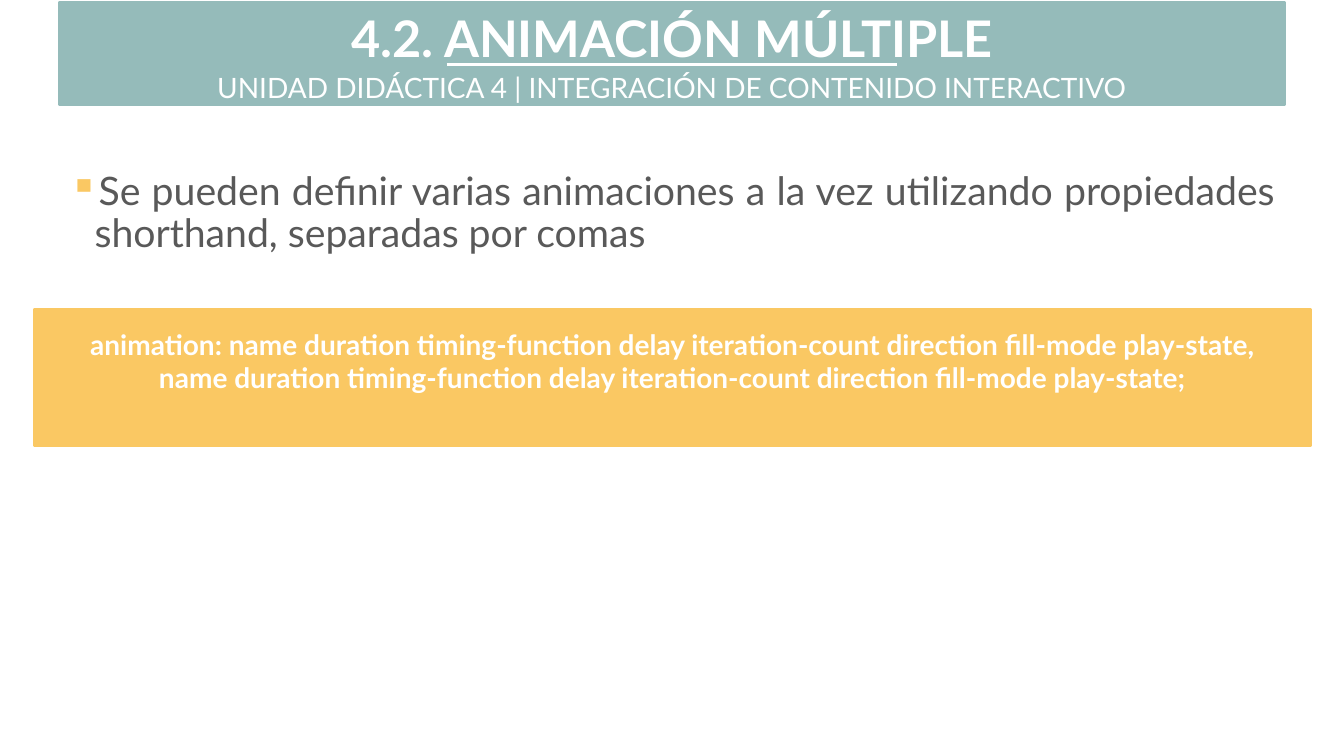
from lxml import etree
from pptx import Presentation
from pptx.dml.color import RGBColor
from pptx.enum.shapes import MSO_CONNECTOR, MSO_SHAPE
from pptx.enum.text import MSO_ANCHOR, PP_ALIGN
from pptx.oxml.ns import qn
from pptx.util import Inches, Pt

TEAL = RGBColor(0x95, 0xBB, 0xBA)
YELLOW = RGBColor(0xFA, 0xC8, 0x63)
WHITE = RGBColor(0xFF, 0xFF, 0xFF)
GREY = RGBColor(0x59, 0x59, 0x59)


def write(shape, text, size=20, color=WHITE, bold=False,
          align=PP_ALIGN.CENTER, anchor=MSO_ANCHOR.MIDDLE):
    """Fill a shape with text, one paragraph per line, and return its frame."""
    tf = shape.text_frame
    tf.word_wrap = True
    tf.vertical_anchor = anchor
    tf.text = text
    for p in tf.paragraphs:
        p.alignment = align
        font = p.runs[0].font
        font.name, font.size, font.bold = "Lato", Pt(size), bold
        font.color.rgb = color
    return tf


def add_band(left, top, width, height, color):
    sp = s.shapes.add_shape(MSO_SHAPE.RECTANGLE, Inches(left), Inches(top),
                            Inches(width), Inches(height))
    sp.shadow.inherit = False
    sp.fill.solid()
    sp.fill.fore_color.rgb = color
    sp.line.color.rgb = color
    sp.line.width = Pt(1.5)
    return sp


prs = Presentation()
prs.slide_width, prs.slide_height = Inches(13.33), Inches(7.5)
s = prs.slides.add_slide(prs.slide_layouts[6])

# Header
title = add_band(0.59, 0.02, 12.15, 1.01, TEAL)
write(title, "4.2. ANIMACIÓN MÚLTIPLE", size=36, bold=True, anchor=MSO_ANCHOR.TOP)
unit = add_band(0.59, 0.69, 12.15, 0.35, TEAL)
write(unit, "UNIDAD DIDÁCTICA 4 | INTEGRACIÓN DE CONTENIDO INTERACTIVO")

rule = s.shapes.add_connector(MSO_CONNECTOR.STRAIGHT, Inches(4.43), Inches(0.64),
                              Inches(8.9), Inches(0.64))
rule.line.color.rgb = WHITE
rule.line.width = Pt(2.25)
etree.SubElement(rule._element.spPr, qn("a:effectLst"))

# Bulleted explanation
body = s.shapes.add_textbox(Inches(0.59), Inches(1.65), Inches(12.15), Inches(5.56))
tf = write(body, "Se pueden definir varias animaciones a la vez utilizando "
           "propiedades shorthand, separadas por comas",
           size=28, color=GREY, align=PP_ALIGN.JUSTIFY, anchor=MSO_ANCHOR.TOP)
p = tf.paragraphs[0]
p.line_spacing = 0.9
pPr = p._p.get_or_add_pPr()
pPr.set("marL", str(Inches(0.25)))
pPr.set("indent", str(-Inches(0.25)))
bullet_color = etree.SubElement(pPr, qn("a:buClr"))
etree.SubElement(bullet_color, qn("a:srgbClr"), val=str(YELLOW))
etree.SubElement(pPr, qn("a:buChar"), char="▪")

# Syntax box, its text raised above the middle
syntax = add_band(0.34, 3.07, 12.66, 1.35, YELLOW)
tf = write(syntax, "animation: name duration timing-function delay iteration-count "
           "direction fill-mode play-state,\n"
           "name duration timing-function delay iteration-count "
           "direction fill-mode play-state;", bold=True)
tf.margin_bottom = Inches(0.38)

prs.save("out.pptx")
